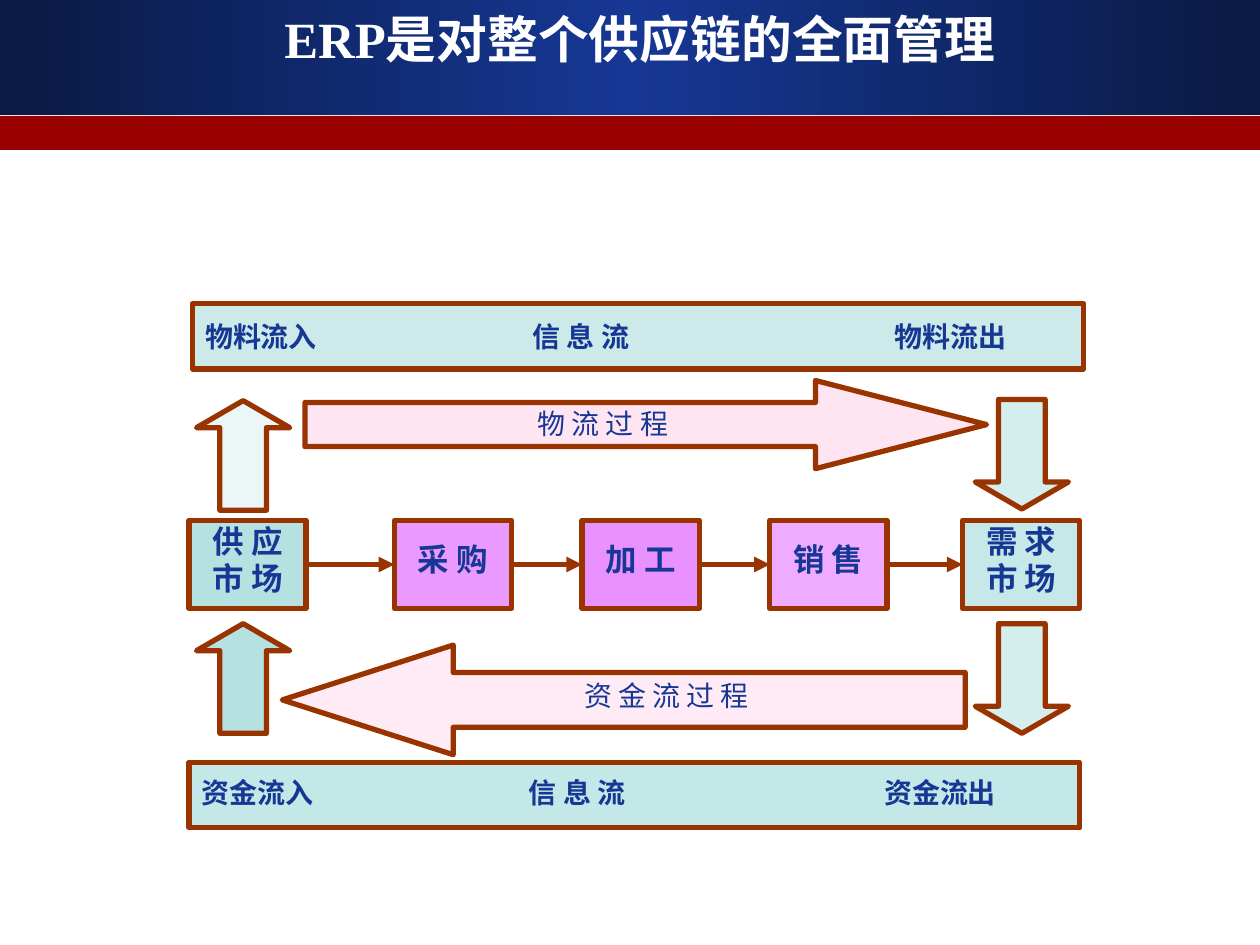
from lxml import etree
from pptx import Presentation
from pptx.dml.color import RGBColor
from pptx.enum.shapes import MSO_CONNECTOR, MSO_SHAPE
from pptx.enum.text import MSO_ANCHOR, PP_ALIGN
from pptx.oxml.ns import qn
from pptx.util import Inches, Pt

RECT = MSO_SHAPE.RECTANGLE
UP, DOWN = MSO_SHAPE.UP_ARROW, MSO_SHAPE.DOWN_ARROW
LEFT, RIGHT = MSO_SHAPE.LEFT_ARROW, MSO_SHAPE.RIGHT_ARROW
LINE = MSO_CONNECTOR.STRAIGHT
TOP, MID = MSO_ANCHOR.TOP, MSO_ANCHOR.MIDDLE
START, CENTER = PP_ALIGN.LEFT, PP_ALIGN.CENTER

WIDE, HIGH = Inches(10), Inches(7.5)
COL, ROW = WIDE / 100, HIGH / 75
NAVY, RUST, TEAL = "163794", "993300", "009999"
PINK, VIOLET, WHITE = "FF99CC", "CC00FF", "FFFFFF"
SERIF, SANS = "Times New Roman", "Noto Sans CJK SC"


def paint(form, color, alpha=100):
    form.solid()
    form.fore_color.rgb = RGBColor.from_string(color)
    if alpha < 100:
        node = form._xPr.find(".//" + qn("a:srgbClr"))
        etree.SubElement(node, qn("a:alpha"), val=str(alpha * 1000))


def place(x, y, w, h):
    return [round(n) for n in (x * COL, y * ROW, w * COL, h * ROW)]


def add_form(slide, kind, area, color, alpha=100, edge=True):
    shape = slide.shapes.add_shape(kind, *place(*area))
    shape.shadow.inherit = False
    paint(shape.fill, color, alpha)
    if edge:
        paint(shape.line.fill, RUST)
        shape.line.width = Pt(3)
    else:
        shape.line.fill.background()
    return shape


def write(shape, text, size, bold=True, color=NAVY, face=SERIF,
          align=CENTER, anchor=TOP, lead=1.0, inset=None, tabs=()):
    frame = shape.text_frame
    frame.word_wrap = True
    frame.vertical_anchor = anchor
    if inset:
        frame.margin_left = frame.margin_right = Inches(inset[0])
        frame.margin_top = frame.margin_bottom = Inches(inset[1])
    frame.text = text
    for para in frame.paragraphs:
        if tabs:
            stops = etree.SubElement(para._p.get_or_add_pPr(), qn("a:tabLst"))
            for stop in tabs:
                etree.SubElement(stops, qn("a:tab"), pos=str(round(stop * COL)), algn="l")
        para.alignment = align
        para.line_spacing = lead
        for run in para.runs:
            font = run.font
            font.name, font.size, font.bold = face, Pt(size), bold
            font.color.rgb = RGBColor.from_string(color)
            etree.SubElement(run._r.get_or_add_rPr(), qn("a:ea"), typeface=SANS)


def add_link(slide, first, last):
    link = slide.shapes.add_connector(LINE, 0, 0, 0, 0)
    link.begin_connect(first, 3)
    link.end_connect(last, 1)
    paint(link.line.fill, RUST)
    link.line.width = Pt(3)
    etree.SubElement(link.line._get_or_add_ln(), qn("a:tailEnd"), type="triangle")
    etree.SubElement(link._element.spPr, qn("a:effectLst"))


def add_head(slide):
    band = add_form(slide, RECT, (0, 0, 100, 9.1), NAVY, edge=False)
    band.fill.gradient()
    band.fill.gradient_angle = 0
    stops = band.fill._xPr.find(".//" + qn("a:gsLst"))
    for stop in list(stops):
        stops.remove(stop)
    for spot, color in ((0, "0A1A44"), (50, NAVY), (100, "0A1A44")):
        stop = etree.SubElement(stops, qn("a:gs"), pos=str(spot * 1000))
        etree.SubElement(stop, qn("a:srgbClr"), val=color)
    add_form(slide, RECT, (0, 9.2, 100, 2.7), "990000", edge=False)
    title = slide.shapes.add_textbox(*place(4.1, 0, 93.4, 6.1))
    write(title, "ERP是对整个供应链的全面管理", 29, color=WHITE, anchor=MID)


def add_chain(slide):
    steps = (
        (15, "供 应\n市 场", TEAL, 29, 1.0),
        (31.3, "采 购", VIOLET, 40, 1.5),
        (46.2, "加 工", VIOLET, 43, 1.5),
        (61.1, "销 售", VIOLET, 33, 1.5),
        (76.4, "需 求\n市 场", TEAL, 22, 1.0),
    )
    boxes = []
    for x, text, color, alpha, lead in steps:
        box = add_form(slide, RECT, (x, 41.3, 9.3, 7), color, alpha)
        write(box, text, 18, face=SANS, lead=lead, inset=(0.02, 0.01))
        boxes.append(box)
    for first, last in zip(boxes, boxes[1:]):
        add_link(slide, first, last)


def add_flows(slide):
    flows = (
        (RIGHT, (24.2, 30.2, 54.1, 7), 1.94, 26, "物 流 过 程", 0.96),
        (LEFT, (22.4, 51.2, 54.2, 8.7), 1.56, 19, "资 金 流 过 程", 1.0),
    )
    for kind, area, tip, alpha, text, lead in flows:
        flow = add_form(slide, kind, area, PINK, alpha)
        flow.adjustments[1] = tip
        write(flow, text, 16, bold=False, lead=lead)
    for kind, x, y, alpha in (
        (UP, 15.6, 31.8, 8),
        (UP, 15.6, 49.5, 29),
        (DOWN, 77.4, 31.7, 17),
        (DOWN, 77.4, 49.5, 17),
    ):
        arrow = add_form(slide, kind, (x, y, 7.4, 8.7), TEAL, alpha)
        arrow.adjustments[1] = 0.29


def add_bands(slide):
    for x, y, alpha, word, lead, last in (
        (15.3, 24.1, 20, "物料", 1.3, 54.7),
        (15, 60.5, 23, "资金", 1.2, 54.2),
    ):
        band = add_form(slide, RECT, (x, y, 70.7, 5.2), TEAL, alpha)
        write(band, f"{word}流入\t信 息 流\t{word}流出", 16, align=START,
              lead=lead, tabs=(26, last))


def main():
    deck = Presentation()
    deck.slide_width, deck.slide_height = WIDE, HIGH
    slide = deck.slides.add_slide(deck.slide_layouts[6])
    add_head(slide)
    add_chain(slide)
    add_flows(slide)
    add_bands(slide)
    deck.save("out.pptx")


if __name__ == "__main__":
    main()
